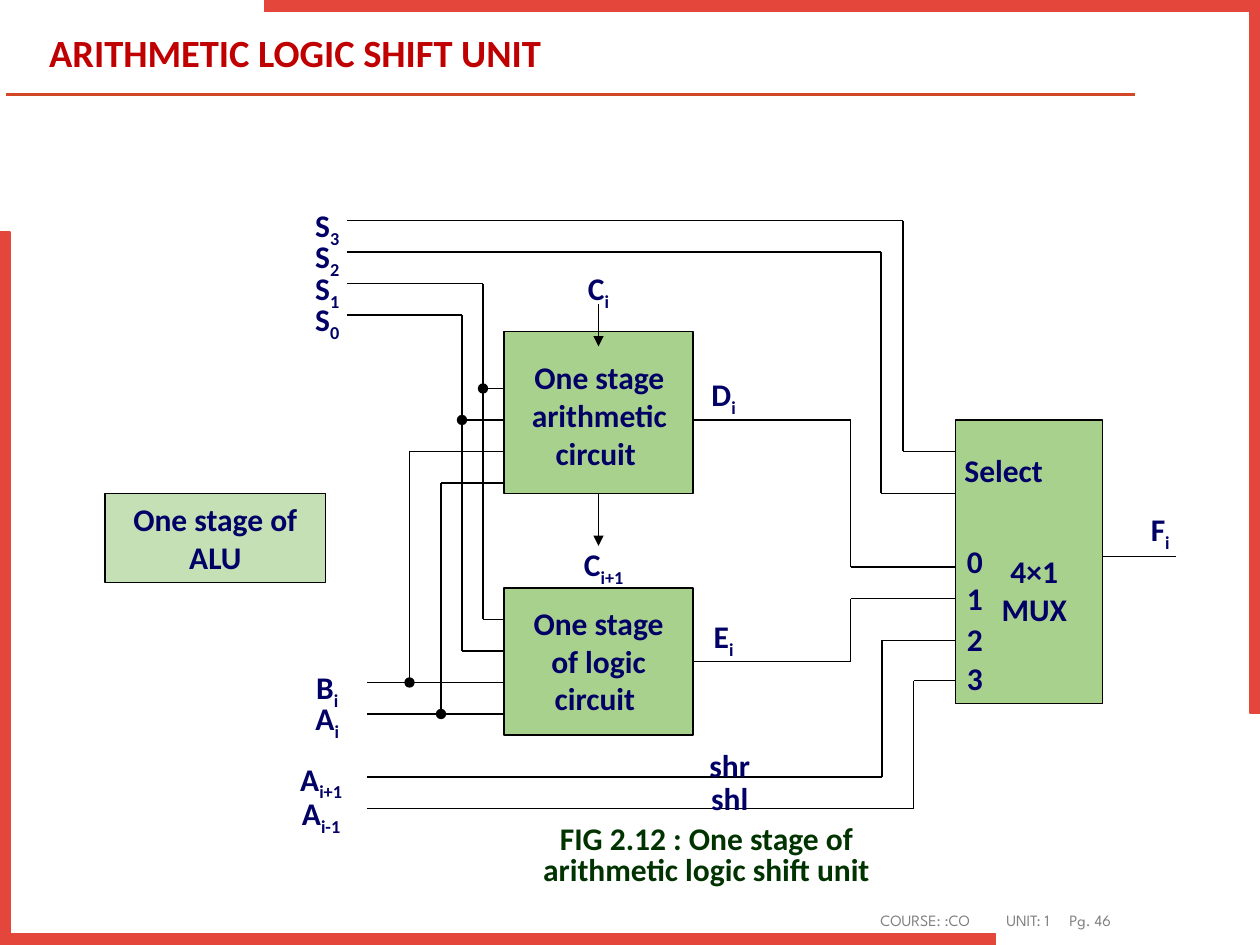
import itertools

import pptx
import pptx.dml.color
import pptx.enum.shapes
import pptx.enum.text
import pptx.oxml
import pptx.oxml.ns
import pptx.util

Pt = pptx.util.Pt
colour = pptx.dml.color.RGBColor.from_string
SHAPE = pptx.enum.shapes.MSO_SHAPE
ALIGN = pptx.enum.text.PP_ALIGN
ANCHOR = pptx.enum.text.MSO_ANCHOR
NS = pptx.oxml.ns.nsdecls("a")

deck = pptx.Presentation()
deck.slide_width, deck.slide_height = Pt(720), Pt(540)
slide = deck.slides.add_slide(deck.slide_layouts[5])
shapes = slide.shapes


def wire(points, head=None, tail=None, line_colour="000000", width=0.75):
    """Join the points with straight lines; head and tail mark the two ends."""
    segments = list(itertools.pairwise(points))
    for number, (start, end) in enumerate(segments):
        line = shapes.add_connector(pptx.enum.shapes.MSO_CONNECTOR.STRAIGHT,
                                    *(Pt(v) for v in start + end))
        line.line.color.rgb = colour(line_colour)
        line.line.width = Pt(width)
        outline = line.line._get_or_add_ln()
        if head and number == 0:
            outline.append(pptx.oxml.parse_xml(f'<a:headEnd {NS} type="{head}"/>'))
        if tail and number == len(segments) - 1:
            outline.append(pptx.oxml.parse_xml(f'<a:tailEnd {NS} type="{tail}"/>'))
        line._element.spPr.append(pptx.oxml.parse_xml(f"<a:effectLst {NS}/>"))


def write(frame, text, subscript="", size=18, text_colour="000066",
          font="Calibri", bold=True, align=ALIGN.CENTER):
    frame.word_wrap = True
    paragraph = frame.paragraphs[0]
    paragraph.alignment = align
    for part in filter(None, (text, subscript)):
        run = paragraph.add_run()
        run.text = part
        run.font.name, run.font.size, run.font.bold = font, Pt(size), bold
        run.font.color.rgb = colour(text_colour)
        if part is subscript:
            run._r.get_or_add_rPr().set("baseline", "-25000")
    return paragraph


# Frame, title and footer
wire([(3.6, 54), (648.7, 54)], line_colour="D24726", width=2)
for left, top, rotation in [(151.2, 0, 180), (0, 132.5, 0)]:
    corner = shapes.add_shape(SHAPE.CORNER, Pt(left), Pt(top), Pt(568.8), Pt(407.5))
    corner.adjustments[0], corner.adjustments[1] = 0.016, 0.014
    corner.rotation = rotation
    corner.shadow.inherit = False
    corner.fill.solid()
    corner.fill.fore_color.rgb = corner.line.color.rgb = colour("E4463B")
    corner.line.width = Pt(1)

title = shapes.title
title.left, title.top, title.width, title.height = Pt(20.9), Pt(15), Pt(548.6), Pt(33)
title.text_frame.vertical_anchor = ANCHOR.MIDDLE
write(title.text_frame, "ARITHMETIC LOGIC SHIFT UNIT", size=22,
      text_colour="C00000", align=ALIGN.LEFT).line_spacing = 0.9

footer = shapes.add_textbox(Pt(496), Pt(517), Pt(180), Pt(16))
course = write(footer.text_frame, "COURSE: :CO\tUNIT: 1\tPg. 46", size=9,
               text_colour="808080", font="League Spartan", bold=False, align=ALIGN.LEFT)
course._p.get_or_add_pPr().append(pptx.oxml.parse_xml(
    f'<a:tabLst {NS}><a:tab pos="{Pt(72)}" algn="l"/>'
    f'<a:tab pos="{Pt(108)}" algn="l"/></a:tabLst>'))

# Circuit blocks: left, top, width, height, fill, text
for left, top, width, height, fill, text in [
    (288, 189.5, 108, 92.5, "A9D18E", ""),
    (288, 336, 108, 84, "A9D18E", ""),
    (546, 240, 84, 162, "A9D18E", ""),
    (60, 282, 126, 51, "C5E0B4", "One stage of ALU"),
]:
    block = shapes.add_shape(SHAPE.RECTANGLE, Pt(left), Pt(top), Pt(width), Pt(height))
    block.shadow.inherit = False
    block.fill.solid()
    block.fill.fore_color.rgb = colour(fill)
    block.line.color.rgb = colour("000000")
    block.line.width = Pt(0.75)
    if text:
        write(block.text_frame, text)

# Select lines S3 and S2 to the multiplexer, S1 and S0 to both circuits
wire([(198, 126), (516, 126), (516, 258), (546, 258)])
wire([(198, 144), (503.5, 144), (503.5, 282), (546, 282)])
wire([(198, 162), (276, 162), (276, 354), (288, 354)])
wire([(198, 180), (264, 180), (264, 372), (288, 372)])
wire([(288, 222), (276, 222)], tail="oval")
wire([(288, 240), (264, 240)], tail="oval")

# Data inputs B and A with their branches to the arithmetic circuit
for data_y, branch_x, branch_y in [(390, 234, 258), (408, 252, 276)]:
    wire([(210, data_y), (288, data_y)])
    wire([(branch_x, data_y), (branch_x, branch_y), (288, branch_y)], head="oval")

# Multiplexer inputs 0 to 3 and its output
wire([(396, 240), (486, 240), (486, 324), (546, 324)])
wire([(396, 378), (486, 378), (486, 342), (546, 342)])
wire([(210, 444), (504, 444), (504, 366), (546, 366)])
wire([(210, 462), (522, 462), (522, 389), (546, 389)])
wire([(630, 318), (672, 318)])

# Carry in and carry out
wire([(342, 174), (342, 198)], tail="triangle")
wire([(342, 282), (342, 312)], tail="triangle")

# Labels: text, subscript, left, top, width, number of lines
labels = [("S", str(3 - row), 169, 114 + 18 * row, 36, 1) for row in range(4)]
labels += [(str(number), "", 545, top, 24, 1)
           for number, top in enumerate([306, 327.5, 350.5, 373])]
labels += [
    ("B", "i", 169, 378, 36, 1),
    ("A", "i", 169, 396, 36, 1),
    ("A", "i+1", 162, 430.5, 43, 1),
    ("A", "i-1", 162, 450, 43, 1),
    ("Select", "", 540.5, 254, 66, 1),
    ("4×1 MUX", "", 564, 312, 54, 2),
    ("C", "i", 324, 150, 36, 1),
    ("C", "i+1", 318, 308, 54, 1),
    ("One stage arithmetic circuit ", "", 294, 201, 97, 3),
    ("One stage of logic circuit ", "", 294, 341.5, 96, 3),
    ("D", "i", 392.5, 211, 42, 1),
    ("E", "i", 392.5, 349, 42, 1),
    ("F", "i", 642, 288, 42, 1),
    ("shr", "", 396, 422.5, 42, 1),
    ("shl", "", 396, 441.5, 42, 1),
]
for text, subscript, left, top, width, lines in labels:
    label = shapes.add_textbox(Pt(left), Pt(top), Pt(width), Pt(7 + 22 * lines))
    write(label.text_frame, text, subscript)

caption = shapes.add_textbox(Pt(283.5), Pt(468), Pt(240.5), Pt(72))
write(caption.text_frame, "FIG 2.12 : One stage of arithmetic logic shift unit",
      text_colour="003300").line_spacing = Pt(18)
caption.text_frame.word_wrap = False

deck.save("out.pptx")
